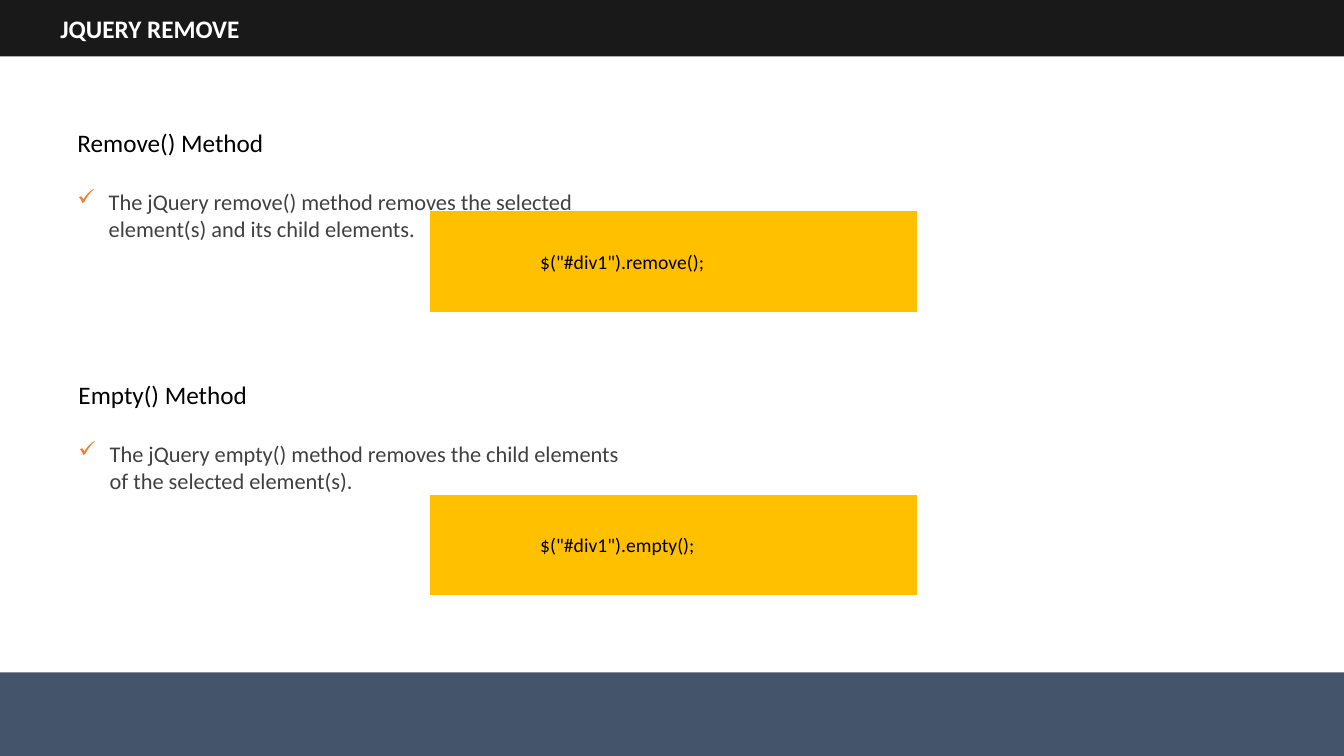
from lxml import etree
from pptx import Presentation
from pptx.dml.color import RGBColor
from pptx.enum import shapes, text
from pptx.oxml import ns
from pptx.util import Inches, Pt

COLORS = {
    "banner": "191919", "footer": "44546A", "code": "FFC000", "white": "FFFFFF",
    "black": "000000", "body": "404040", "check": "ED7D31",
}
METHODS = [
    (0.67, 1.21, 2.09, "Remove() Method",
     "The jQuery remove() method removes the selected element(s) and its child elements.",
     '$("#div1").remove();'),
    (0.68, 3.71, 4.9, "Empty() Method",
     "The jQuery empty() method removes the child elements of the selected element(s).",
     '$("#div1").empty();'),
]


def color(key):
    """Return the named colour."""
    return RGBColor.from_string(COLORS[key])


def write(paragraph, words, size, ink, bold=False):
    """Fill a paragraph with left-aligned Calibri text."""
    paragraph.text = words
    paragraph.alignment = text.PP_ALIGN.LEFT
    paragraph.font.name = "Calibri"
    paragraph.font.size = Pt(size)
    paragraph.font.bold = bold
    paragraph.font.color.rgb = color(ink)


def indent(paragraph, left, first=0):
    """Set the left margin and first-line indent, and return the properties."""
    properties = paragraph._p.get_or_add_pPr()
    properties.set("marL", str(Inches(left)))
    properties.set("indent", str(Inches(first)))
    return properties


def add_check_bullet(paragraph):
    """Give a paragraph a hanging coloured check mark."""
    properties = indent(paragraph, 0.31, -0.31)
    bullet_color = etree.SubElement(properties, ns.qn("a:buClr"))
    etree.SubElement(bullet_color, ns.qn("a:srgbClr"), val=COLORS["check"])
    etree.SubElement(properties, ns.qn("a:buChar"), char="✓")


def add_block(slide, left, top, width, height, fill, outline=None):
    """Add a flat rectangle."""
    block = slide.shapes.add_shape(
        shapes.MSO_SHAPE.RECTANGLE,
        Inches(left), Inches(top), Inches(width), Inches(height))
    block.shadow.inherit = False
    block.fill.solid()
    block.fill.fore_color.rgb = color(fill)
    if outline:
        block.line.color.rgb = color(outline)
        block.line.width = Pt(1)
    else:
        block.line.fill.background()
    return block


def label_block(block, words, size, ink, left, bold=False):
    """Write one indented line in the middle of a block's height."""
    block.text_frame.vertical_anchor = text.MSO_ANCHOR.MIDDLE
    line = block.text_frame.paragraphs[0]
    indent(line, left)
    write(line, words, size, ink, bold)


def add_description(slide, left, top, heading, summary):
    """Add a method heading with its checked summary."""
    description = slide.shapes.add_textbox(
        Inches(left), Inches(top), Inches(5.75), Inches(1.25)).text_frame
    description.word_wrap = True
    write(description.paragraphs[0], heading, 18, "black")
    point = description.add_paragraph()
    point.space_before = Pt(22)
    add_check_bullet(point)
    write(point, summary, 16, "body")


def main():
    """Build the slide and save it."""
    deck = Presentation()
    deck.slide_width, deck.slide_height = Inches(13.33), Inches(7.5)
    slide = deck.slides.add_slide(deck.slide_layouts[6])
    add_block(slide, 0, 6.67, 13.33, 0.83, "footer")
    banner = add_block(slide, 0, 0, 13.33, 0.56, "banner")
    label_block(banner, "JQUERY REMOVE", 18, "white", 0.5, bold=True)
    for left, top, code_top, heading, summary, code in METHODS:
        add_description(slide, left, top, heading, summary)
        sample = add_block(slide, 4.26, code_top, 4.84, 1.01, "code", "white")
        label_block(sample, code, 14, "black", 1)
    deck.save("out.pptx")


if __name__ == "__main__":
    main()
